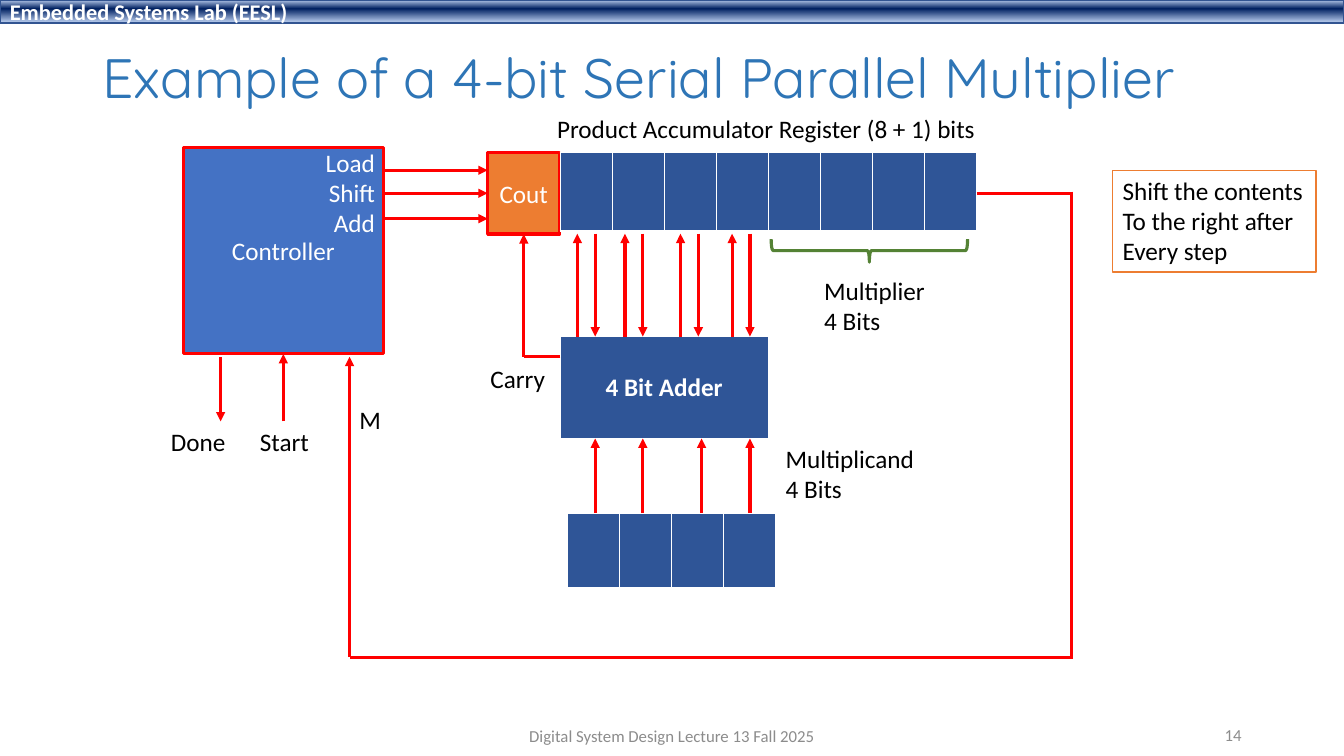
import copy

import lxml.etree
import pptx
import pptx.dml.color
import pptx.enum.shapes
import pptx.enum.text
import pptx.oxml.ns
import pptx.util

Cm = pptx.util.Cm
Pt = pptx.util.Pt
RGBColor = pptx.dml.color.RGBColor
SHAPE = pptx.enum.shapes.MSO_SHAPE
ALIGN = pptx.enum.text.PP_ALIGN
ANCHOR = pptx.enum.text.MSO_ANCHOR
qn = pptx.oxml.ns.qn

WHITE = RGBColor(0xFF, 0xFF, 0xFF)
BLACK = RGBColor(0x00, 0x00, 0x00)
RED = RGBColor(0xFF, 0x00, 0x00)
BLUE = RGBColor(0x44, 0x72, 0xC4)
DARK_BLUE = RGBColor(0x2F, 0x55, 0x97)
ORANGE = RGBColor(0xED, 0x7D, 0x31)
GREEN = RGBColor(0x54, 0x82, 0x35)
TITLE_BLUE = RGBColor(0x2E, 0x75, 0xB6)
GREY = RGBColor(0x8C, 0x8C, 0x8C)
BAR_LIGHT = RGBColor(0xAB, 0xC0, 0xE4)
BAR_DARK = RGBColor(0x00, 0x20, 0x60)
BAR_LINE = RGBColor(0x32, 0x54, 0x91)

presentation = pptx.Presentation()
presentation.slide_width = Cm(33.87)
presentation.slide_height = Cm(19.05)
slide = presentation.slides.add_slide(presentation.slide_layouts[6])
shapes = slide.shapes


def write_text(frame, text, size=18, color=BLACK, font="Calibri", bold=False,
               align=ALIGN.LEFT, anchor=ANCHOR.TOP, wrap=True, spacing=1.0):
    frame.word_wrap = wrap
    frame.vertical_anchor = anchor
    for index, line in enumerate(text.split("\n")):
        paragraph = frame.add_paragraph() if index else frame.paragraphs[0]
        paragraph.alignment = align
        paragraph.line_spacing = spacing
        run = paragraph.add_run()
        run.text = line
        run.font.name = font
        run.font.size = Pt(size)
        run.font.bold = bold
        run.font.color.rgb = color


def add_line(x1, y1, x2, y2, arrow=True):
    connector = shapes.add_connector(
        pptx.enum.shapes.MSO_CONNECTOR.STRAIGHT, Cm(x1), Cm(y1), Cm(x2), Cm(y2))
    connector.line.color.rgb = RED
    connector.line.width = Pt(2.25)
    properties = connector.element.spPr
    if arrow:
        lxml.etree.SubElement(properties.find(qn("a:ln")), qn("a:tailEnd"),
                              type="triangle")
    lxml.etree.SubElement(properties, qn("a:effectLst"))
    return connector


# Boxes: header bar, controller, carry-out, note, brace
boxes = {}
for name, kind, left, top, width, height, fill, line, weight in [
    ("bar", SHAPE.RECTANGLE, 0, 0, 33.87, 0.58, None, BAR_LINE, 1),
    ("controller", SHAPE.RECTANGLE, 4.62, 3.71, 5.04, 5.21, BLUE, RED, 2.25),
    ("cout", SHAPE.RECTANGLE, 12.29, 3.84, 1.82, 2.06, ORANGE, RED, 2.25),
    ("note", SHAPE.RECTANGLE, 28.04, 4.29, 5.13, 2.57, WHITE, ORANGE, 1),
    ("brace", SHAPE.LEFT_BRACE, 21.62, 3.84, 0.58, 4.95, None, GREEN, 2.25),
]:
    shape = shapes.add_shape(kind, Cm(left), Cm(top), Cm(width), Cm(height))
    shape.shadow.inherit = False
    if fill is None:
        shape.fill.background()
    else:
        shape.fill.solid()
        shape.fill.fore_color.rgb = fill
    shape.line.color.rgb = line
    shape.line.width = Pt(weight)
    boxes[name] = shape
boxes["brace"].rotation = 270

# Header bar gradient: light, dark, light from top to bottom
bar_fill = boxes["bar"].fill
bar_fill.gradient()
bar_fill.gradient_angle = 270
stop_list = boxes["bar"].element.spPr.find(".//" + qn("a:gsLst"))
stop_list.append(copy.deepcopy(stop_list[-1]))
for stop, position, color in zip(bar_fill.gradient_stops, (0.02, 0.38, 0.93),
                                 (BAR_LIGHT, BAR_DARK, BAR_LIGHT)):
    stop.position = position
    stop.color.rgb = color

write_text(boxes["bar"].text_frame, "Embedded Systems Lab (EESL)", size=16,
           color=WHITE, bold=True, anchor=ANCHOR.MIDDLE)
for name, text in [("controller", "Controller"), ("cout", "Cout")]:
    write_text(boxes[name].text_frame, text, color=WHITE, align=ALIGN.CENTER,
               anchor=ANCHOR.MIDDLE)
write_text(boxes["note"].text_frame,
           "Shift the contents\nTo the right after\nEvery step", wrap=False)

# Registers and adder
BIT = 1.31
for left, top, bits, columns, height, text in [
    (14.12, 3.84, 8, 8, 1.98, ""),
    (14.12, 8.48, 4, 1, 2.57, "4 Bit Adder"),
    (14.3, 12.93, 4, 4, 1.88, ""),
]:
    table = shapes.add_table(1, columns, Cm(left), Cm(top),
                             Cm(bits * BIT), Cm(height)).table
    for column in table.columns:
        column.width = Cm(bits * BIT / columns)
    for cell in table.iter_cells():
        cell.fill.solid()
        cell.fill.fore_color.rgb = DARK_BLUE
        if text:
            write_text(cell.text_frame, text, color=WHITE, bold=True,
                       align=ALIGN.CENTER)
            cell.vertical_anchor = ANCHOR.MIDDLE

# Arrows between accumulator, adder and multiplicand
for x in (14.55, 15.75, 17.15, 18.45):
    add_line(x, 8.48, x, 5.89)
    add_line(x + 0.45, 5.89, x + 0.45, 8.48)
for x in (15, 16.2, 17.68, 18.9):
    add_line(x, 12.93, x, 11.05)

# Carry path
add_line(14.12, 8.99, 13.2, 8.99, arrow=False)
add_line(13.2, 8.99, 13.2, 5.9).end_connect(boxes["cout"], 2)

# Controller signals
add_line(9.67, 4.29, 12.29, 4.29)
add_line(9.67, 4.87, 12.29, 4.87).end_connect(boxes["cout"], 1)
add_line(9.67, 5.51, 12.29, 5.51)
add_line(7.14, 10.62, 7.14, 8.92).end_connect(boxes["controller"], 2)
add_line(5.56, 8.99, 5.56, 10.62)

# Feedback path from the accumulator to M
add_line(24.61, 4.87, 27.04, 4.87, arrow=False)
add_line(27, 4.83, 27, 16.56, arrow=False)
add_line(27.04, 16.56, 8.81, 16.56, arrow=False)
add_line(8.81, 16.56, 8.81, 8.99)

# Labels, title and footer
label = {"wrap": False}
footer = {"size": 12, "color": GREY, "anchor": ANCHOR.MIDDLE}
for text, left, top, width, height, style in [
    ("Example of a 4-bit Serial Parallel Multiplier", 2.33, 1.01, 29.21, 2.06,
     {"size": 39.6, "font": "Quicksand", "color": TITLE_BLUE,
      "anchor": ANCHOR.MIDDLE, "spacing": 0.9}),
    ("Product Accumulator Register (8 + 1) bits", 13.79, 2.72, 11.18, 1.03, label),
    ("Load\nShift\nAdd", 7.92, 3.58, 1.78, 2.57,
     {"color": WHITE, "align": ALIGN.RIGHT, "wrap": False}),
    ("Multiplier\n4 Bits", 20.52, 6.81, 3.07, 1.8, label),
    ("Multiplicand\n4 Bits", 19.55, 11.05, 3.8, 1.8, label),
    ("Carry", 12.11, 9.02, 1.9, 1.03, label),
    ("Done", 4.06, 10.62, 1.9, 1.03, label),
    ("Start", 6.3, 10.62, 1.75, 1.03, label),
    ("M", 8.81, 10.06, 1.07, 1.03, label),
    ("Digital System Design Lecture 13 Fall 2025", 11.22, 18.03, 11.43, 1.01,
     {"align": ALIGN.CENTER, **footer}),
    ("14", 23.92, 18, 7.62, 1.01, {"align": ALIGN.RIGHT, **footer}),
]:
    text_box = shapes.add_textbox(Cm(left), Cm(top), Cm(width), Cm(height))
    write_text(text_box.text_frame, text, **style)

presentation.save("out.pptx")
